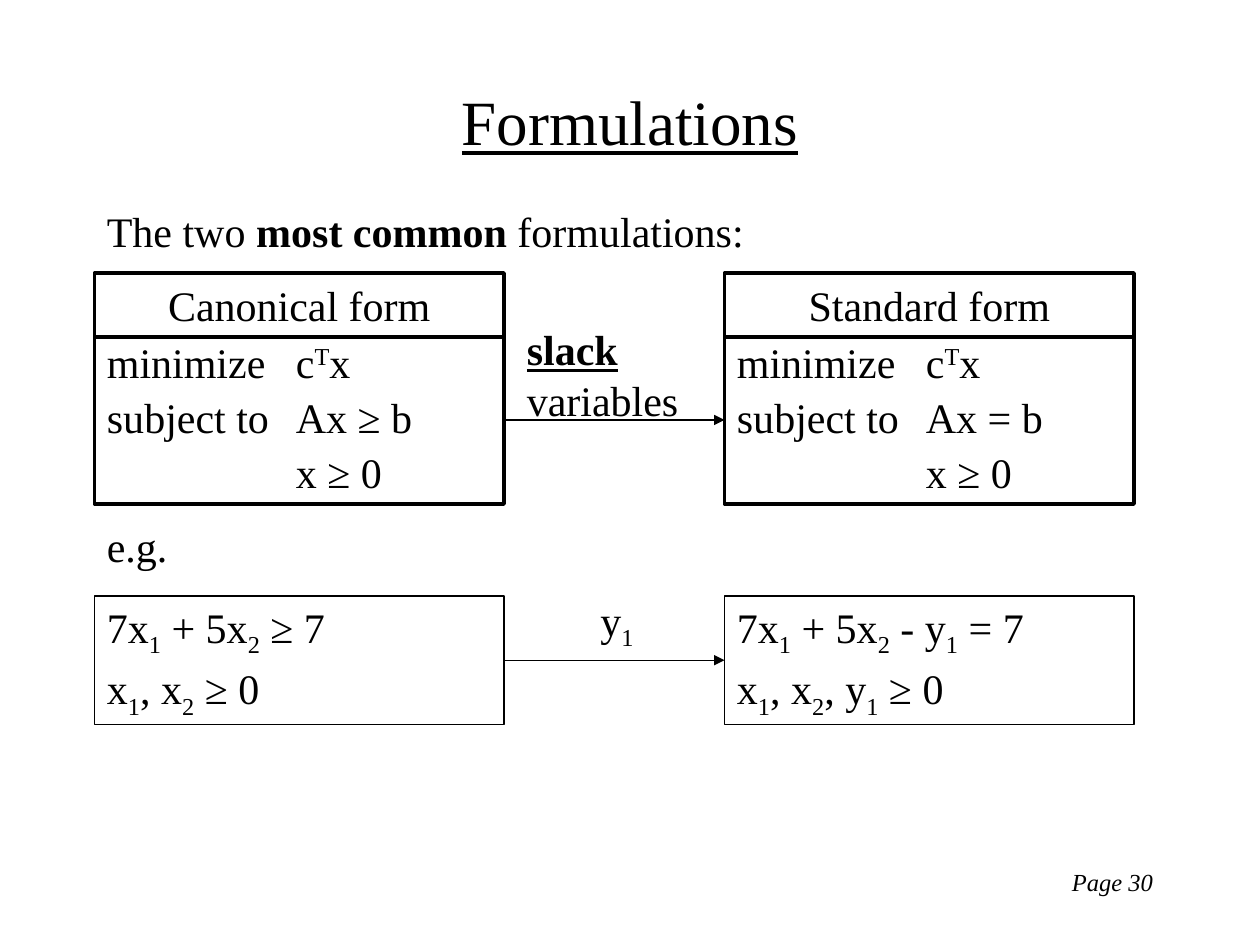
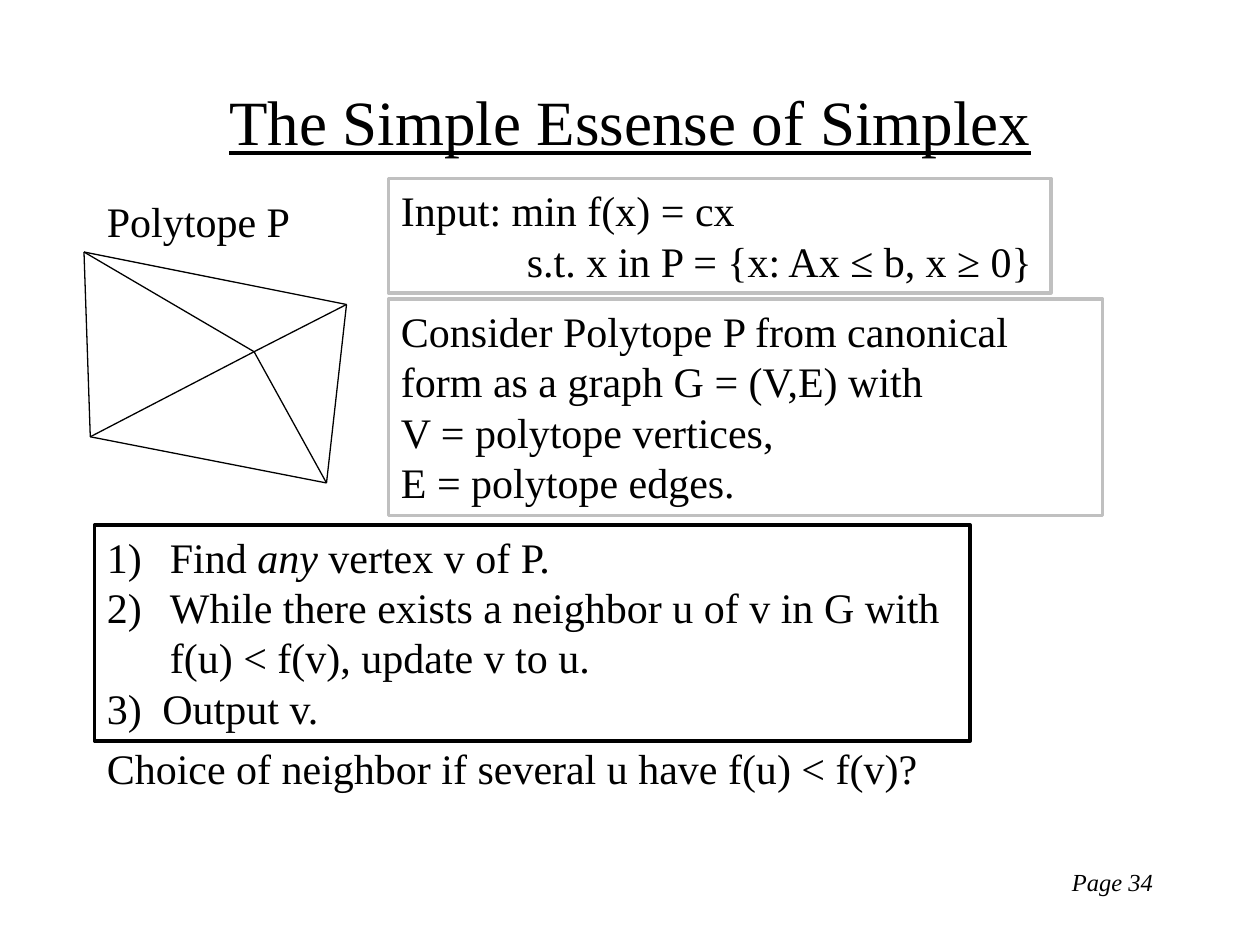
from pptx import Presentation
from pptx.dml.color import RGBColor
from pptx.enum.shapes import MSO_CONNECTOR, MSO_SHAPE
from pptx.enum.text import MSO_ANCHOR, PP_ALIGN
from pptx.oxml.ns import qn
from pptx.util import Inches, Pt
from lxml import etree

RECTANGLE = MSO_SHAPE.RECTANGLE
STRAIGHT = MSO_CONNECTOR.STRAIGHT
TOP, MIDDLE = MSO_ANCHOR.TOP, MSO_ANCHOR.MIDDLE
LEFT, CENTER, RIGHT = PP_ALIGN.LEFT, PP_ALIGN.CENTER, PP_ALIGN.RIGHT

SLIDE_WIDTH, SLIDE_HEIGHT = Inches(10), Inches(7.5)
COLUMNS, ROWS = 120, 90
INK, PAPER, GRAY = "000000", "FFFFFF", "C0C0C0"
BODY = {"name": "Times New Roman", "size": Pt(24)}
TITLE = {**BODY, "size": Pt(36), "underline": True}
PAGE = {**BODY, "size": Pt(14), "italic": True}
SPACED = {"space_before": Pt(5.5)}
FORMULA = {**SPACED, "line_spacing": 0.9}
THIN, THICK = 0.75, 2

MARGIN = 9
FORM_WIDTH = 39
FORM_LEFTS = (MARGIN, 69)
FORM_TOP, FORM_HEIGHT = 32, 16
EXAMPLE_TOP, EXAMPLE_HEIGHT = 56.75, 12.25
PANEL_LEFT = 37


def across(columns):
    return round(SLIDE_WIDTH * columns / COLUMNS)


def down(rows):
    return round(SLIDE_HEIGHT * rows / ROWS)


def color(hex_value):
    return RGBColor.from_string(hex_value)


def apply(target, values):
    for attribute, value in values.items():
        setattr(target, attribute, value)


def sup(text):
    return text, {}, 30000


def sub(text):
    return text, {}, -25000


def para(*runs, indent=0, hanging=0, tab=None, number=None):
    return runs, indent, hanging, tab, number


def add_run(paragraph, content, font):
    text, emphasis, baseline = (content, {}, 0) if isinstance(content, str) else content
    run = paragraph.add_run()
    run.text = text
    apply(run.font, {**font, **emphasis})
    run.font.color.rgb = color(INK)
    if baseline:
        run._r.get_or_add_rPr().set("baseline", str(baseline))


def set_indents(paragraph, indent, hanging, tab, number):
    properties = paragraph._p.get_or_add_pPr()
    properties.set("marL", str(Inches(indent)))
    properties.set("indent", str(-Inches(hanging)))
    if number:
        etree.SubElement(properties, qn("a:buFont"), typeface=BODY["name"])
        etree.SubElement(properties, qn("a:buAutoNum"), type="arabicParenR", startAt=str(number))
    if tab:
        stops = etree.SubElement(properties, qn("a:tabLst"))
        etree.SubElement(stops, qn("a:tab"), pos=str(Inches(tab)), algn="l")


def write(shape, paragraphs, font=BODY, spacing={}, align=LEFT, anchor=TOP):
    frame = shape.text_frame
    apply(frame, {"word_wrap": True, "vertical_anchor": anchor})
    for index, (runs, *indents) in enumerate(paragraphs):
        paragraph = frame.add_paragraph() if index else frame.paragraphs[0]
        apply(paragraph, {"alignment": align, **spacing})
        set_indents(paragraph, *indents)
        for content in runs:
            add_run(paragraph, content, font)


def place(left, top, width, height):
    return across(left), down(top), across(width), down(height)


def label(slide, area, *paragraphs, **style):
    write(slide.shapes.add_textbox(*place(*area)), paragraphs, **style)


def panel(slide, area, *paragraphs, line=INK, weight=THICK, **style):
    box = slide.shapes.add_shape(RECTANGLE, *place(*area))
    box.shadow.inherit = False
    box.fill.solid()
    box.fill.fore_color.rgb = color(PAPER)
    box.line.color.rgb = color(line)
    box.line.width = Pt(weight)
    write(box, paragraphs, **style)


def line(shapes, start, end, arrow=False):
    (x1, y1), (x2, y2) = start, end
    edge = shapes.add_connector(STRAIGHT, across(x1), down(y1), across(x2), down(y2))
    edge.line.color.rgb = color(INK)
    edge.line.width = Pt(THIN)
    if arrow:
        etree.SubElement(edge.line._get_or_add_ln(), qn("a:tailEnd"), type="triangle")
    etree.SubElement(edge._element.spPr, qn("a:effectLst"))


def new_slide(deck, title, page):
    slide = deck.slides.add_slide(deck.slide_layouts[6])
    label(slide, (86, 82, 25, 6), para(f"Page {page}"), font=PAGE, align=RIGHT)
    label(slide, (MARGIN, 6, 102, 11), para(title), font=TITLE, align=CENTER, anchor=MIDDLE)
    return slide


def formulations(deck):
    slide = new_slide(deck, "Formulations", 30)
    label(slide, (MARGIN, 19, 102, 7),
          para("The two ", ("most common", {"bold": True}, 0), " formulations:"), spacing=SPACED)
    label(slide, (MARGIN, 49, 102, 7), para("e.g."), spacing=SPACED)

    one, two = sub("1"), sub("2")
    forms = (
        ("Canonical form", "≥", [para("7x", one, " + 5x", two, " ≥ 7"),
                                 para("x", one, ", x", two, " ≥ 0")]),
        ("Standard form", "=", [para("7x", one, " + 5x", two, " - y", one, " = 7"),
                                para("x", one, ", x", two, ", y", one, " ≥ 0")]),
    )
    for left, (name, relation, example) in zip(FORM_LEFTS, forms):
        panel(slide, (left, FORM_TOP, FORM_WIDTH, FORM_HEIGHT),
              para("minimize\tc", sup("T"), "x", tab=1.67),
              para(f"subject to\tAx {relation} b", tab=1.44),
              para("x ≥ 0", indent=1.5), spacing=FORMULA)
        panel(slide, (left, 26, FORM_WIDTH, 6.1), para(name), align=CENTER)
        panel(slide, (left, EXAMPLE_TOP, FORM_WIDTH, EXAMPLE_HEIGHT), *example,
              weight=THIN, spacing=FORMULA)

    for height in (FORM_TOP + FORM_HEIGHT / 2, EXAMPLE_TOP + EXAMPLE_HEIGHT / 2):
        line(slide.shapes, (MARGIN + FORM_WIDTH, height), (FORM_LEFTS[1], height), arrow=True)
    label(slide, (49, 30.25, 17, 11),
          para(("slack", {"bold": True, "underline": True}, 0)), para("variables"))
    label(slide, (56, 56, 6, 6), para("y", one))


def simplex(deck):
    slide = new_slide(deck, "The Simple Essense of Simplex", 34)
    label(slide, (MARGIN, 18, 20, 6), para("Polytope P"))

    vertices = {"top": (8, 24), "right": (33, 29), "bottom": (31.1, 46),
                "left": (8.6, 41.6), "inner": (24.2, 33.5)}
    rim = ("top", "right", "bottom", "left")
    polytope = slide.shapes.add_group_shape().shapes
    for vertex, neighbor in zip(rim, rim[1:] + rim[:1]):
        line(polytope, vertices[vertex], vertices[neighbor])
        line(polytope, vertices[vertex], vertices["inner"])

    panel(slide, (PANEL_LEFT, 17, 63.1, 10.9),
          para("Input: min f(x) = cx"),
          para("s.t. x in P = {x: Ax ≤ b, x ≥ 0}", indent=1), line=GRAY)
    panel(slide, (PANEL_LEFT, 28.5, 68, 20.6),
          para("Consider Polytope P from canonical form as a graph G = (V,E) with"),
          para("V = polytope vertices,"), para("E = polytope edges."), line=GRAY)
    panel(slide, (MARGIN, 50, 83.4, 20.6),
          para("Find ", ("any", {"italic": True}, 0), " vertex v of P.",
               indent=0.5, hanging=0.5, number=1),
          para("While there exists a neighbor u of v in G with f(u) < f(v), update v to u.",
               indent=0.5, hanging=0.5, number=2),
          para("Output v.", indent=0.44, hanging=0.44, number=3))
    label(slide, (MARGIN, 70.1, 97, 6),
          para("Choice of neighbor if several u have f(u) < f(v)?"))


def main():
    deck = Presentation()
    apply(deck, {"slide_width": SLIDE_WIDTH, "slide_height": SLIDE_HEIGHT})
    formulations(deck)
    simplex(deck)
    deck.save("out.pptx")


main()
